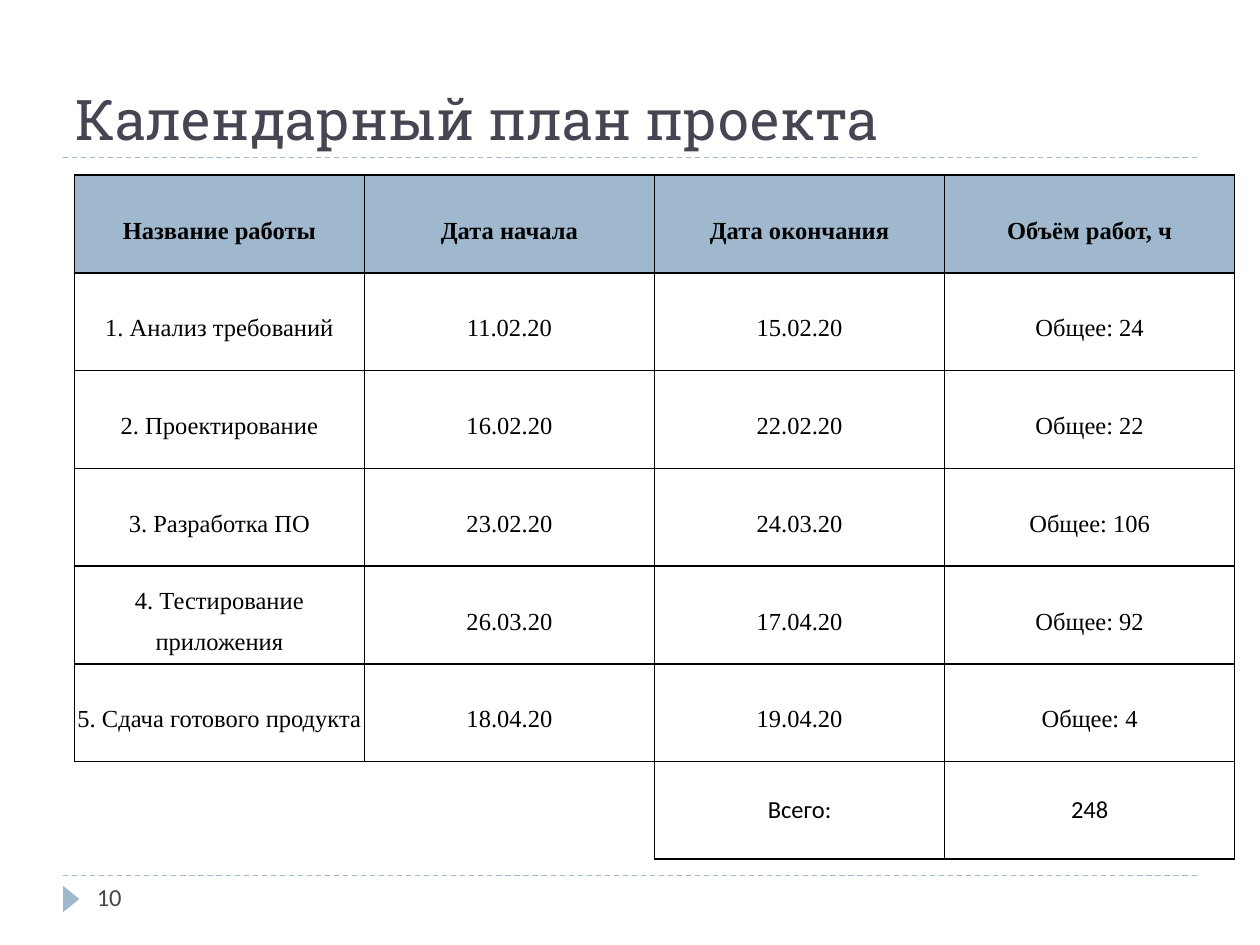
from lxml.etree import SubElement
from pptx import Presentation
from pptx.dml.color import RGBColor
from pptx.enum.dml import MSO_LINE_DASH_STYLE as Dash
from pptx.enum.shapes import MSO_CONNECTOR as Connector, MSO_SHAPE as Shape
from pptx.enum.text import MSO_ANCHOR as Anchor, PP_ALIGN as Align
from pptx.oxml.ns import qn
from pptx.util import Inches, Pt

COLORS = {"accent": "9FB8CD", "title": "464653", "ink": "000000"}
ROWS = [
    ("Название работы", "Дата начала", "Дата окончания", "Объём работ, ч"),
    ("1. Анализ требований", "11.02.20", "15.02.20", "Общее: 24"),
    ("2. Проектирование", "16.02.20", "22.02.20", "Общее: 22"),
    ("3. Разработка ПО", "23.02.20", "24.03.20", "Общее: 106"),
    ("4. Тестирование приложения", "26.03.20", "17.04.20", "Общее: 92"),
    ("5. Сдача готового продукта", "18.04.20", "19.04.20", "Общее: 4"),
    ("", "", "Всего:", "248"),
]


def write(frame, text, font="Calibri", size=14, color="ink", bold=False,
          align=Align.LEFT, spacing=1.0):
    paragraph = frame.paragraphs[0]
    paragraph.alignment = align
    paragraph.line_spacing = spacing
    run = paragraph.add_run()
    run.text = text
    run.font.name = font
    run.font.size = Pt(size)
    run.font.bold = bold
    run.font.color.rgb = RGBColor.from_string(COLORS[color])


def set_borders(cell, visible_sides):
    properties = cell._tc.get_or_add_tcPr()
    for side in "LRTB":
        line = SubElement(properties, qn(f"a:ln{side}"), w=str(Pt(1)))
        if side in visible_sides:
            fill = SubElement(line, qn("a:solidFill"))
            SubElement(fill, qn("a:srgbClr"), val=COLORS["ink"])
        else:
            SubElement(line, qn("a:noFill"))


presentation = Presentation()
presentation.slide_width = Inches(10)
presentation.slide_height = Inches(7.5)
slide = presentation.slides.add_slide(presentation.slide_layouts[6])

for y in (6.95, 1.25):
    rule = slide.shapes.add_connector(
        Connector.STRAIGHT, Inches(0.5), Inches(y), Inches(9.5), Inches(y))
    rule.line.color.rgb = RGBColor.from_string(COLORS["accent"])
    rule.line.width = Pt(0.75)
    rule.line.dash_style = Dash.DASH
    SubElement(rule._element.spPr, qn("a:effectLst"))

marker = slide.shapes.add_shape(
    Shape.ISOSCELES_TRIANGLE, Inches(0.46), Inches(7.07), Inches(0.21), Inches(0.13))
marker.rotation = 90
marker.shadow.inherit = False
marker.fill.solid()
marker.fill.fore_color.rgb = RGBColor.from_string(COLORS["accent"])
marker.line.fill.background()

title = slide.shapes.add_textbox(Inches(0.5), Inches(0.17), Inches(9), Inches(1.08))
title.text_frame.word_wrap = True
title.text_frame.vertical_anchor = Anchor.BOTTOM
write(title.text_frame, "Календарный план проекта", font="Roboto Slab", size=32, color="title")

page_number = slide.shapes.add_textbox(Inches(0.67), Inches(6.95), Inches(2.17), Inches(0.4))
page_number.text_frame.word_wrap = True
write(page_number.text_frame, "10", color="title")

table = slide.shapes.add_table(
    len(ROWS), len(ROWS[0]), Inches(0.59), Inches(1.39), Inches(9.21), Inches(5.43)).table
table.first_row = False
table.horz_banding = False

total_row = len(ROWS) - 1
for row, texts in enumerate(ROWS):
    for column, text in enumerate(texts):
        cell = table.cell(row, column)
        cell.vertical_anchor = Anchor.MIDDLE
        if text:
            set_borders(cell, "LRTB")
        else:
            set_borders(cell, "TR" if column == 1 else "T")
        if row == 0:
            cell.fill.solid()
            cell.fill.fore_color.rgb = RGBColor.from_string(COLORS["accent"])
        else:
            cell.fill.background()
        if row < total_row:
            cell.margin_left = cell.margin_right = Inches(0.01 if column == 3 else 0.02)
            cell.margin_top = cell.margin_bottom = 0
            write(cell.text_frame, text, font="Times New Roman", bold=row == 0,
                  align=Align.CENTER, spacing=1.5)
        elif text:
            write(cell.text_frame, text, align=Align.CENTER)

presentation.save("out.pptx")
